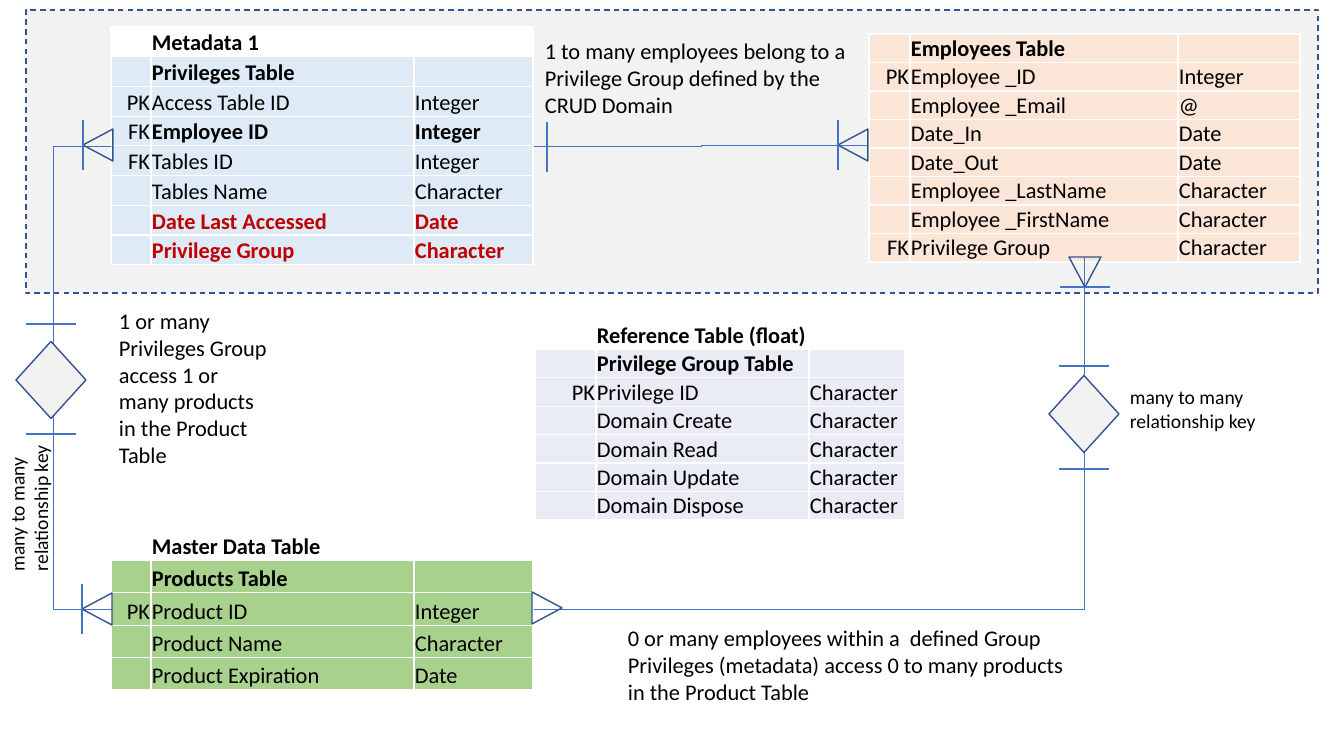
from dataclasses import dataclass

from lxml import etree
from pptx import Presentation
from pptx.dml.color import RGBColor
from pptx.enum.dml import MSO_LINE
from pptx.enum.shapes import MSO_CONNECTOR, MSO_SHAPE
from pptx.enum.text import MSO_ANCHOR, PP_ALIGN
from pptx.oxml.ns import qn
from pptx.util import Emu, Pt

PX = 914400 / 100.8
FONT = "Calibri"
DASH = MSO_LINE.DASH
STRAIGHT, ELBOW = MSO_CONNECTOR.STRAIGHT, MSO_CONNECTOR.ELBOW
RECTANGLE = MSO_SHAPE.RECTANGLE
TRIANGLE = MSO_SHAPE.ISOSCELES_TRIANGLE
DECISION = MSO_SHAPE.FLOWCHART_DECISION
BOTTOM, LEFT, RIGHT = MSO_ANCHOR.BOTTOM, PP_ALIGN.LEFT, PP_ALIGN.RIGHT
COLORS = {
    "white": "FFFFFF", "black": "000000", "red": "C00000", "panel": "F2F2F2",
    "outline": "325491", "relation": "4472C4", "privileges": "DEEBF7",
    "employees": "FBE5D6", "products": "A9D18E", "reference": "E9EBF5",
}
FOOT_SIZE = (32, 30)
DECISION_SIZE = (70, 77)
BAR_HALF = 25
APEX = {180: (0, 15), 270: (-15, 0)}


@dataclass
class Field:
    """One row of an entity table."""
    key: str
    name: str
    kind: str = ""
    bold: bool = False
    color: str = "black"
    fill: str = ""


@dataclass
class Entity:
    """A data table with its place in pixels."""
    left: int
    top: int
    height: int
    columns: tuple[int, ...]
    fill: str
    fields: list[Field]


@dataclass
class Note:
    """A text box; the place is given before rotation."""
    left: int
    top: int
    width: int
    height: int
    text: str
    size: int = 16
    rotation: int = 0


def caption(text: str) -> Field:
    """Return the white row above a table's heading."""
    return Field("", text, bold=True, fill="white")


def heading(text: str) -> Field:
    """Return the bold row that names a table."""
    return Field("", text, bold=True)


WIDE = (40, 263, 119)
ENTITIES = [
    Entity(111, 27, 238, WIDE, "privileges", [
        caption("Metadata 1"), heading("Privileges Table"),
        Field("PK", "Access Table ID", "Integer"),
        Field("FK", "Employee ID", "Integer", bold=True),
        Field("FK", "Tables ID", "Integer"),
        Field("", "Tables Name", "Character"),
        Field("", "Date Last Accessed", "Date", True, "red"),
        Field("", "Privilege Group", "Character", True, "red"),
    ]),
    Entity(869, 34, 228, (41, 268, 122), "employees", [
        heading("Employees Table"),
        Field("PK", "Employee _ID", "Integer"),
        Field("", "Employee _Email", "@"),
        Field("", "Date_In", "Date"),
        Field("", "Date_Out", "Date"),
        Field("", "Employee _LastName", "Character"),
        Field("", "Employee _FirstName", "Character"),
        Field("FK", "Privilege Group", "Character"),
    ]),
    Entity(111, 528, 162, WIDE, "products", [
        caption("Master Data Table"), heading("Products Table"),
        Field("PK", "Product ID", "Integer"),
        Field("", "Product Name", "Character"),
        Field("", "Product Expiration", "Date"),
    ]),
    Entity(535, 321, 195, (61, 213, 96), "reference", [
        caption("Reference Table (float)"), heading("Privilege Group Table"),
        Field("PK", "Privilege ID", "Character"),
        *[Field("", f"Domain {action}", "Character")
          for action in ("Create", "Read", "Update", "Dispose")],
    ]),
]
RELATION_KEY = "many to many relationship key"
NOTES = [
    Note(618, 619, 471, 92, "0 or many employees within a  defined Group Privileges "
         "(metadata) access 0 to many products in the Product Table"),
    Note(535, 32, 329, 92, "1 to many employees belong to a Privilege Group "
         "defined by the CRUD Domain"),
    Note(109, 302, 169, 173, "1 or many Privileges Group access 1 or many products "
         "in the Product Table"),
    Note(1120, 380, 163, 57, RELATION_KEY, 14),
    Note(-53, 471, 163, 57, RELATION_KEY, 14, 270),
]
CROW_FEET = [(98, 145, 270), (1085, 272, 180), (97, 609, 270), (853, 145, 270)]
DECISIONS = [(51, 380), (1084, 414)]
LEVEL_BARS = [(51, 324), (51, 434), (1084, 366), (1084, 469)]


def px(value: float) -> Emu:
    """Turn pixels into EMU."""
    return Emu(round(value * PX))


def rgb(name: str) -> RGBColor:
    """Look up a named colour."""
    return RGBColor.from_string(COLORS[name])


def style_text(paragraph, size: int, color: str = "black", bold: bool = False) -> None:
    """Set the font of a whole paragraph."""
    font = paragraph.font
    font.name, font.size, font.bold = FONT, Pt(size), bold
    font.color.rgb = rgb(color)


def add_outlined(shapes, kind, left: float, top: float, size: tuple[int, int],
                 fill: str = "", rotation: int = 0):
    """Draw a preset shape with the dark blue outline."""
    shape = shapes.add_shape(kind, px(left), px(top), *map(px, size))
    shape.shadow.inherit = False
    shape.rotation = rotation
    if fill:
        shape.fill.solid()
        shape.fill.fore_color.rgb = rgb(fill)
    else:
        shape.fill.background()
    shape.line.color.rgb = rgb("outline")
    shape.line.width = Pt(1)
    return shape


def add_centred(shapes, kind, x: int, y: int, size: tuple[int, int],
                fill: str = "", rotation: int = 0) -> None:
    """Draw an outlined shape around a centre point."""
    add_outlined(shapes, kind, x - size[0] / 2, y - size[1] / 2, size, fill, rotation)


def add_line(shapes, kind, start: tuple[int, int], end: tuple[int, int], width: float):
    """Draw a connector and return its preset geometry."""
    line = shapes.add_connector(kind, *map(px, start + end))
    line.line.color.rgb = rgb("relation")
    line.line.width = Pt(width)
    properties = line._element.spPr
    etree.SubElement(properties, qn("a:effectLst"))
    return properties.find(qn("a:prstGeom"))


def add_bar(shapes, x: int, y: int, vertical: bool) -> None:
    """Draw a cardinality bar around a centre point."""
    dx, dy = (0, BAR_HALF) if vertical else (BAR_HALF, 0)
    add_line(shapes, STRAIGHT, (x - dx, y - dy), (x + dx, y + dy), 1)


def add_relations(shapes) -> None:
    """Link the three related tables with elbow lines."""
    add_line(shapes, ELBOW, (534, 146), (868, 145), 0.5)
    employee_product = add_line(shapes, ELBOW, (534, 609), (1084, 257), 0.5)
    employee_product.set("prst", "bentConnector2")
    product_privilege = add_line(shapes, ELBOW, (112, 609), (111, 146), 0.5)
    guide = etree.SubElement(product_privilege.find(qn("a:avLst")), qn("a:gd"))
    guide.set("name", "adj1")
    guide.set("fmla", "val 5900000")


def format_cell(cell, fill: str) -> None:
    """Give a cell its fill, margins and white borders."""
    cell.fill.solid()
    cell.fill.fore_color.rgb = rgb(fill)
    cell.vertical_anchor = BOTTOM
    cell.margin_left = cell.margin_right = cell.margin_top = px(1)
    cell.margin_bottom = 0
    properties = cell._tc.get_or_add_tcPr()
    for index, side in enumerate(("lnL", "lnR", "lnT", "lnB")):
        border = etree.Element(qn(f"a:{side}"), w=str(Pt(1)))
        paint = etree.SubElement(border, qn("a:solidFill"))
        etree.SubElement(paint, qn("a:srgbClr"), val=COLORS["white"])
        properties.insert(index, border)


def add_entity(shapes, entity: Entity) -> None:
    """Draw an entity table with equal rows."""
    fields = entity.fields
    table = shapes.add_table(len(fields), len(entity.columns), px(entity.left), px(entity.top),
                             px(sum(entity.columns)), px(entity.height)).table
    table.first_row = table.horz_banding = False
    for column, width in zip(table.columns, entity.columns):
        column.width = px(width)
    for row, field in zip(table.rows, fields):
        row.height = px(entity.height / len(fields))
        for index, text in enumerate((field.key, field.name, field.kind)):
            cell = row.cells[index]
            format_cell(cell, field.fill or entity.fill)
            cell.text = text
            paragraph = cell.text_frame.paragraphs[0]
            paragraph.alignment = LEFT if index else RIGHT
            style_text(paragraph, 16, field.color, field.bold and index > 0)


def add_note(shapes, note: Note) -> None:
    """Write a wrapped note."""
    box = shapes.add_textbox(*map(px, (note.left, note.top, note.width, note.height)))
    box.rotation = note.rotation
    box.text_frame.word_wrap = True
    box.text_frame.text = note.text
    style_text(box.text_frame.paragraphs[0], note.size)


def main() -> None:
    """Build and save the data model slide."""
    deck = Presentation()
    deck.slide_width, deck.slide_height = px(1344), px(756)
    shapes = deck.slides.add_slide(deck.slide_layouts[6]).shapes
    panel = add_outlined(shapes, RECTANGLE, 26, 10, (1292, 283), "panel")
    panel.line.dash_style = DASH
    for entity in ENTITIES:
        add_entity(shapes, entity)
    add_relations(shapes)
    for note in NOTES:
        add_note(shapes, note)
    add_centred(shapes, TRIANGLE, 547, 608, FOOT_SIZE, rotation=90)
    add_bar(shapes, 547, 147, vertical=True)
    for x, y, rotation in CROW_FEET:
        add_centred(shapes, TRIANGLE, x, y, FOOT_SIZE, rotation=rotation)
        dx, dy = APEX[rotation]
        add_bar(shapes, x + dx, y + dy, vertical=rotation == 270)
    for x, y in DECISIONS:
        add_centred(shapes, DECISION, x, y, DECISION_SIZE, "panel")
    for x, y in LEVEL_BARS:
        add_bar(shapes, x, y, vertical=False)
    deck.save("out.pptx")


main()
